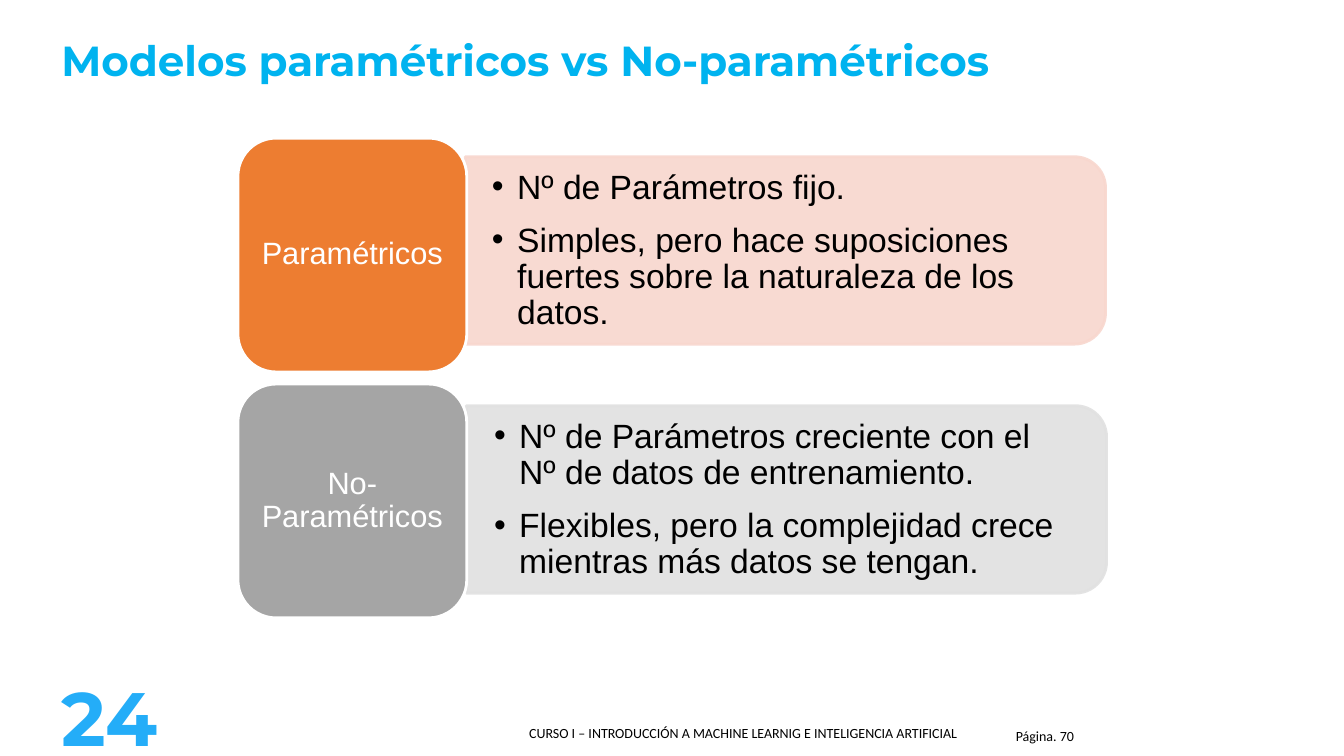
from dataclasses import dataclass

from lxml import etree
from pptx import Presentation
from pptx import util as u
from pptx.dml.color import RGBColor
from pptx.enum import shapes, text
from pptx.oxml import ns


@dataclass(frozen=True)
class Theme:
    heading_font: str = "Montserrat"
    body_font: str = "Arial"
    footer_font: str = "Calibri"
    title_size: int = 30
    number_size: int = 54
    bullet_size: int = 24
    label_size: int = 22
    footer_size: int = 10
    title: str = "00B3EF"
    number: str = "24ADF8"
    ink: str = "000000"
    white: str = "FFFFFF"
    parametric: str = "ED7D31"
    parametric_tint: str = "F8D7CE"
    nonparametric: str = "A5A5A5"
    nonparametric_tint: str = "E1E1E1"


class ModelSlide:
    def __init__(self, slide, theme):
        self.slide = slide
        self.theme = theme

    def fill_frame(self, frame, paragraphs, font, size, color, bold=False,
                   align=None, anchor=text.MSO_ANCHOR.TOP, insets=(0.1, 0.05),
                   wrap=True, spacing=None, bulleted=False):
        """Write the paragraphs and format them; insets are (sides, top and bottom)."""
        frame.text = "\n".join(paragraphs)
        frame.word_wrap = wrap
        frame.vertical_anchor = anchor
        frame.margin_left = frame.margin_right = u.Inches(insets[0])
        frame.margin_top = frame.margin_bottom = u.Inches(insets[1])
        for paragraph in frame.paragraphs:
            if bulleted:
                self.add_bullet(paragraph)
            paragraph.alignment = align
            paragraph.line_spacing = spacing
            for run in paragraph.runs:
                run.font.name = font
                run.font.size = u.Pt(size)
                run.font.bold = bold
                run.font.color.rgb = RGBColor.from_string(color)

    def add_bullet(self, paragraph):
        paragraph.level = 1
        paragraph.space_after = u.Pt(12)
        properties = paragraph._p.get_or_add_pPr()
        properties.set("marL", str(u.Inches(0.25)))
        properties.set("indent", str(-u.Inches(0.25)))
        bullet_color = etree.SubElement(properties, ns.qn("a:buClr"))
        etree.SubElement(bullet_color, ns.qn("a:srgbClr"), val=self.theme.ink)
        etree.SubElement(properties, ns.qn("a:buFont"), typeface=self.theme.body_font)
        etree.SubElement(properties, ns.qn("a:buChar"), char="•")

    def add_text(self, box, paragraphs, font, size, color, **style):
        area = self.slide.shapes.add_textbox(*map(u.Inches, box))
        self.fill_frame(area.text_frame, paragraphs, font, size, color, **style)

    def add_block(self, preset, box, fill, line):
        block = self.slide.shapes.add_shape(preset, *map(u.Inches, box))
        block.shadow.inherit = False
        block.fill.solid()
        block.fill.fore_color.rgb = RGBColor.from_string(fill)
        block.line.color.rgb = RGBColor.from_string(line)
        block.line.width = u.Pt(2)
        return block

    def add_panel(self, left, top, tint):
        """Add a panel rounded on its right side, from an upright shape turned by 90°."""
        panel = self.add_block(shapes.MSO_SHAPE.ROUND_2_SAME_RECTANGLE,
                               (left, top, 1.86, 6.35), tint, tint)
        panel.rotation = 90
        for color in panel._element.spPr.iter(ns.qn("a:srgbClr")):
            etree.SubElement(color, ns.qn("a:alpha"), val="90000")

    def add_model(self, label, traits, label_top, panel_at, traits_at, color, tint):
        theme = self.theme
        self.add_panel(*panel_at, tint)
        self.add_text((*traits_at, 6.26, 1.68), traits, theme.body_font,
                      theme.bullet_size, theme.ink, anchor=text.MSO_ANCHOR.MIDDLE,
                      insets=(0.27, 0.14), spacing=0.9, bulleted=True)
        tile = self.add_block(shapes.MSO_SHAPE.ROUNDED_RECTANGLE,
                              (2.36, label_top, 2.27, 2.32), color, theme.white)
        self.fill_frame(tile.text_frame, [label], theme.body_font, theme.label_size,
                        theme.white, align=text.PP_ALIGN.CENTER,
                        anchor=text.MSO_ANCHOR.MIDDLE, insets=(0.09, 0.05), spacing=0.9)


def main():
    deck = Presentation()
    deck.slide_width = u.Inches(13.33)
    deck.slide_height = u.Inches(7.5)
    theme = Theme()
    page = ModelSlide(deck.slides.add_slide(deck.slide_layouts[6]), theme)

    page.add_text((9.72, 7.15, 1.03, 0.31), ["Página. 70"], theme.footer_font,
                  theme.footer_size, theme.ink, align=text.PP_ALIGN.RIGHT,
                  anchor=text.MSO_ANCHOR.MIDDLE)
    page.add_text((5.15, 7.14, 4.58, 0.27),
                  ["CURSO I – INTRODUCCIÓN A MACHINE LEARNIG E INTELIGENCIA ARTIFICIAL"],
                  theme.footer_font, theme.footer_size, theme.ink,
                  align=text.PP_ALIGN.JUSTIFY, anchor=text.MSO_ANCHOR.MIDDLE)
    page.add_text((0.51, 6.61, 1.17, 1.01), ["24"], theme.heading_font,
                  theme.number_size, theme.number, bold=True, wrap=False)
    page.add_text((0.51, 0.29, 12.57, 1.11), ["Modelos paramétricos vs No-paramétricos"],
                  theme.heading_font, theme.title_size, theme.title, bold=True)

    page.add_model("Paramétricos",
                   ["Nº de Parámetros fijo.",
                    "Simples, pero hace suposiciones fuertes sobre la naturaleza de los datos."],
                   1.37, (6.86, -0.69), (4.61, 1.65),
                   theme.parametric, theme.parametric_tint)
    page.add_model("No-Paramétricos",
                   ["Nº de Parámetros creciente con el Nº de datos de entrenamiento.",
                    "Flexibles, pero la complejidad crece mientras más datos se tengan."],
                   3.81, (6.87, 1.78), (4.63, 4.12),
                   theme.nonparametric, theme.nonparametric_tint)

    deck.save("out.pptx")


if __name__ == "__main__":
    main()
